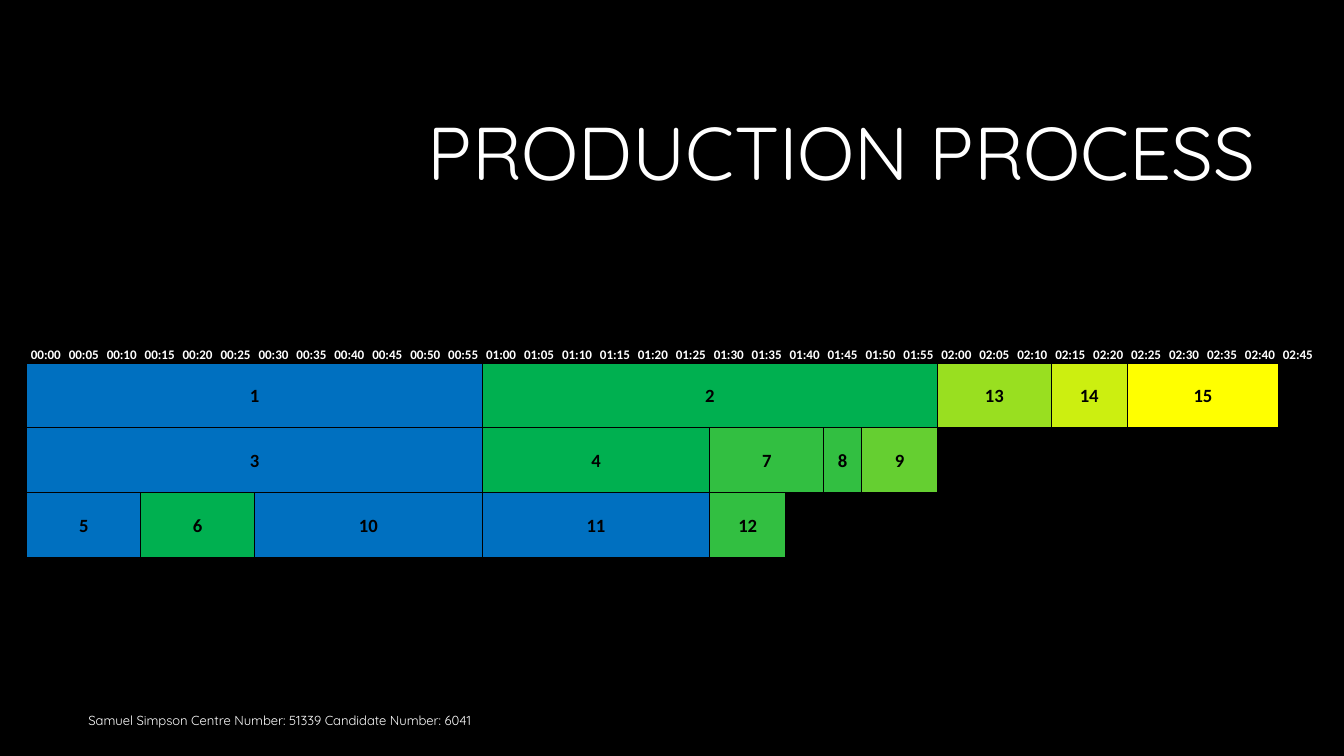
import pptx
import pptx.dml.color
import pptx.enum.text
import pptx.oxml
import pptx.oxml.ns
import pptx.util
from dataclasses import dataclass

Inches = pptx.util.Inches
Pt = pptx.util.Pt
ALIGN = pptx.enum.text.PP_ALIGN
ANCHOR = pptx.enum.text.MSO_ANCHOR


@dataclass(frozen=True)
class Theme:
    black: str = "000000"
    white: str = "FFFFFF"
    blue: str = "0070C0"
    green: str = "00B050"
    leaf: str = "32BF41"
    grass: str = "65CF31"
    lime: str = "99DF20"
    citron: str = "CCEF10"
    yellow: str = "FFFF00"
    display: str = "Quicksand"
    body: str = "Calibri"
    title_size: float = 40
    task_size: float = 10
    small_size: float = 7


THEME = Theme()
SLOTS = 34
SLOT_MINUTES = 5
TABLE_WIDTH, TABLE_HEIGHT, SCALE_HEIGHT = 9.61, 1.97, 0.52

# Each row lists its tasks from 00:00: label, number of time slots, colour
SCHEDULE = [
    [("1", 12, THEME.blue), ("2", 12, THEME.green), ("13", 3, THEME.lime),
     ("14", 2, THEME.citron), ("15", 4, THEME.yellow)],
    [("3", 12, THEME.blue), ("4", 6, THEME.green), ("7", 3, THEME.leaf),
     ("8", 1, THEME.leaf), ("9", 2, THEME.grass)],
    [("5", 3, THEME.blue), ("6", 3, THEME.green), ("10", 6, THEME.blue),
     ("11", 6, THEME.blue), ("12", 2, THEME.leaf)],
]


def rgb(code):
    return pptx.dml.color.RGBColor.from_string(code)


def set_all(target, values):
    for name, value in values.items():
        setattr(target, name, value)


def write(paragraph, text, size, font, color, align, bold=False):
    paragraph.alignment = align
    span = paragraph.add_run()
    span.text = text
    set_all(span.font, {"size": Pt(size), "name": font, "bold": bold})
    span.font.color.rgb = rgb(color)


def add_label(page, place, text, size, align):
    box = page.shapes.add_textbox(*map(Inches, place))
    set_all(box.text_frame, {"word_wrap": True, "vertical_anchor": ANCHOR.MIDDLE})
    paragraph = box.text_frame.paragraphs[0]
    write(paragraph, text, size, THEME.display, THEME.white, align)
    return paragraph


def add_borders(cell, width):
    properties = cell._tc.get_or_add_tcPr()
    for position, side in enumerate(("lnL", "lnR", "lnT", "lnB")):
        line = pptx.oxml.parse_xml(
            f'<a:{side} {pptx.oxml.ns.nsdecls("a")} w="{Pt(width)}"><a:solidFill>'
            f'<a:srgbClr val="{THEME.black}"/></a:solidFill></a:{side}>')
        properties.insert(position, line)


def prepare_cell(cell, border):
    set_all(cell, {"margin_left": Inches(0.01), "margin_right": Inches(0.01),
                   "margin_top": Inches(0.01), "margin_bottom": 0})
    cell.fill.background()
    add_borders(cell, border)


def fill_cell(cell, text, size, color, anchor):
    cell.vertical_anchor = anchor
    write(cell.text_frame.paragraphs[0], text, size, THEME.body, color,
          ALIGN.CENTER, bold=True)


def add_schedule(page):
    place = map(Inches, (0.2, 2.18, TABLE_WIDTH, TABLE_HEIGHT))
    table = page.shapes.add_table(len(SCHEDULE) + 1, SLOTS, *place).table
    set_all(table, {"first_row": False, "horz_banding": False})
    for column in table.columns:
        column.width = Inches(TABLE_WIDTH / SLOTS)
    task_height = (TABLE_HEIGHT - SCALE_HEIGHT) / len(SCHEDULE)
    for index, row in enumerate(table.rows):
        row.height = Inches(task_height if index else SCALE_HEIGHT)
        for cell in row.cells:
            prepare_cell(cell, 0.5 if index else 1)

    # Time scale
    for slot in range(SLOTS):
        hours, minutes = divmod(slot * SLOT_MINUTES, 60)
        fill_cell(table.cell(0, slot), f"{hours:02}:{minutes:02}",
                  THEME.small_size, THEME.white, ANCHOR.BOTTOM)

    # Task bars
    for row, tasks in enumerate(SCHEDULE, start=1):
        start = 0
        for label, length, color in tasks:
            cell = table.cell(row, start)
            if length > 1:
                cell.merge(table.cell(row, start + length - 1))
            cell.fill.solid()
            cell.fill.fore_color.rgb = rgb(color)
            fill_cell(cell, label, THEME.task_size, THEME.black, ANCHOR.MIDDLE)
            start += length


def main():
    # Widescreen page, 16:9
    deck = pptx.Presentation()
    set_all(deck, {"slide_width": Inches(10), "slide_height": Inches(10 * 9 / 16)})
    page = deck.slides.add_slide(deck.slide_layouts[6])
    page.background.fill.solid()
    page.background.fill.fore_color.rgb = rgb(THEME.black)

    # Title and candidate details
    title = add_label(page, (2.38, 0.63, 7.06, 1.06), "PRODUCTION PROCESS",
                      THEME.title_size, ALIGN.RIGHT)
    title.line_spacing = 0.9
    add_label(page, (0.56, 5.21, 6.38, 0.3),
              "Samuel Simpson Centre Number: 51339 Candidate Number: 6041",
              THEME.small_size, ALIGN.LEFT)

    add_schedule(page)
    deck.save("out.pptx")


if __name__ == "__main__":
    main()
